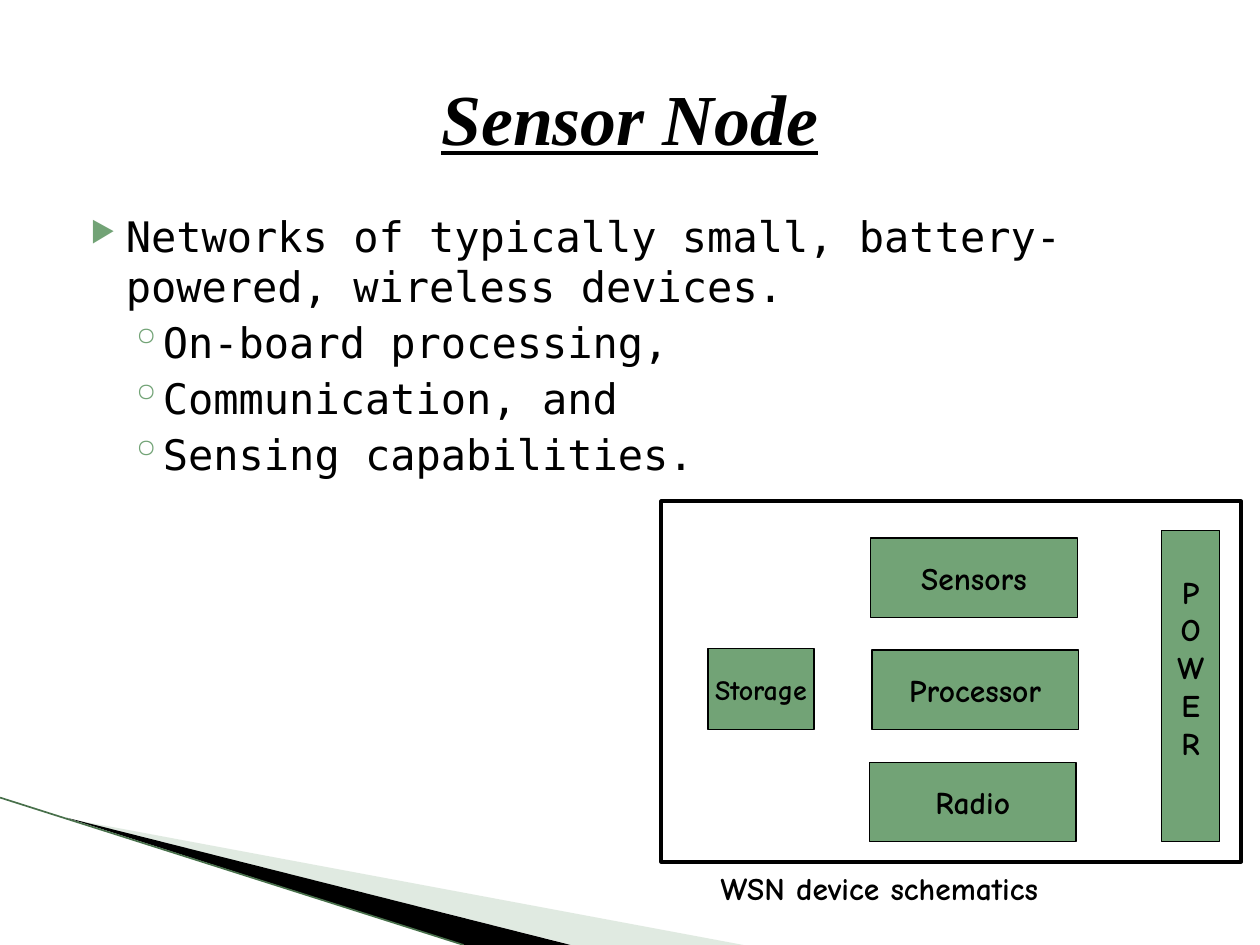
from lxml import etree
from pptx import Presentation
from pptx.dml.color import RGBColor
from pptx.enum import shapes, text
from pptx.oxml import ns
from pptx.util import Inches, Pt

BLACK = RGBColor(0x00, 0x00, 0x00)
GREEN = RGBColor(0x72, 0xA3, 0x76)
DARK_GREEN = RGBColor(0x48, 0x70, 0x4B)
PALE_GREEN = RGBColor(0xB3, 0xCB, 0xB5)

TITLE_FONT = "Times New Roman"
BODY_FONT = "DejaVu Sans Mono"
LABEL_FONT = "Comic Neue"

BULLETS = [
    (0, "Networks of typically small, battery-powered, wireless devices."),
    (1, "On-board processing,"),
    (1, "Communication, and"),
    (1, "Sensing capabilities."),
]
# Per level: left margin, hanging indent, space before, character, size in %
BULLET_STYLES = [
    (0.4, 0.28, 4, "▶", 68),
    (0.68, 0.25, 3.2, "◦", 100),
]
# Label, left, top, width, height, font size
BLOCKS = [
    ("Sensors", 6.91, 4.27, 1.64, 0.63, 18),
    ("Processor", 6.92, 5.16, 1.64, 0.63, 18),
    ("Radio", 6.9, 6.05, 1.64, 0.63, 18),
    ("Storage", 5.62, 5.15, 0.84, 0.64, 16),
    ("\n".join("POWER"), 9.22, 4.21, 0.46, 2.47, 18),
]


def add_xml(parent, tag, **attributes):
    return etree.SubElement(parent, ns.qn(tag), attributes)


def style_text(text_frame, font_name, size, alignment=None, bold=False):
    for paragraph in text_frame.paragraphs:
        paragraph.alignment = alignment
        for run in paragraph.runs:
            run.font.name = font_name
            run.font.size = Pt(size)
            run.font.bold = bold
            run.font.color.rgb = BLACK


def add_textbox(slide, left, top, width, height, wrap=True):
    box = slide.shapes.add_textbox(
        Inches(left), Inches(top), Inches(width), Inches(height))
    box.text_frame.word_wrap = wrap
    return box.text_frame


def add_wedge(slide, points, color, opacity=None):
    start, *others = [(Inches(x), Inches(y)) for x, y in points]
    builder = slide.shapes.build_freeform(*start)
    builder.add_line_segments(others, close=True)
    wedge = builder.convert_to_shape()
    wedge.shadow.inherit = False
    wedge.line.fill.background()
    wedge.fill.solid()
    wedge.fill.fore_color.rgb = color
    if opacity is not None:
        color_node = wedge.fill._xPr.find(".//" + ns.qn("a:srgbClr"))
        add_xml(color_node, "a:alpha", val=str(opacity * 1000))


def add_edge_line(slide, start, end):
    line = slide.shapes.add_connector(
        shapes.MSO_CONNECTOR.STRAIGHT, *map(Inches, start + end))
    line.line.color.rgb = DARK_GREEN
    line.line.width = Pt(0.95)
    add_xml(line._element.spPr, "a:effectLst")


def add_title(slide, title):
    text_frame = add_textbox(slide, 0.5, 0.3, 9, 1.25)
    text_frame.vertical_anchor = text.MSO_ANCHOR.MIDDLE
    text_frame.text = title
    style_text(text_frame, TITLE_FONT, 41, text.PP_ALIGN.CENTER, bold=True)
    font = text_frame.paragraphs[0].runs[0].font
    font.italic = True
    font.underline = True


def add_bullets(slide):
    text_frame = add_textbox(slide, 0.5, 1.62, 9, 4.95)
    text_frame.text = "\n".join(line for _, line in BULLETS)
    style_text(text_frame, BODY_FONT, 24)
    for paragraph, (level, _) in zip(text_frame.paragraphs, BULLETS):
        margin, hanging, space, character, percent = BULLET_STYLES[level]
        paragraph.level = level
        paragraph.space_before = Pt(space)
        properties = paragraph._p.get_or_add_pPr()
        properties.set("marL", str(Inches(margin)))
        properties.set("indent", str(-Inches(hanging)))
        bullet_color = add_xml(properties, "a:buClr")
        add_xml(bullet_color, "a:srgbClr", val=str(GREEN))
        add_xml(properties, "a:buSzPct", val=str(percent * 1000))
        add_xml(properties, "a:buChar", char=character)


def add_rectangle(slide, left, top, width, height, line_width):
    shape = slide.shapes.add_shape(
        shapes.MSO_SHAPE.RECTANGLE,
        Inches(left), Inches(top), Inches(width), Inches(height))
    shape.shadow.inherit = False
    shape.fill.background()
    shape.line.color.rgb = BLACK
    shape.line.width = Pt(line_width)
    return shape


def add_block(slide, label, left, top, width, height, size):
    block = add_rectangle(slide, left, top, width, height, 0.75)
    block.fill.solid()
    block.fill.fore_color.rgb = GREEN
    text_frame = block.text_frame
    text_frame.word_wrap = False
    text_frame.vertical_anchor = text.MSO_ANCHOR.MIDDLE
    text_frame.text = label
    style_text(text_frame, LABEL_FONT, size, text.PP_ALIGN.CENTER, bold=True)
    if "\n" in label:
        # Vertical lettering sits a little above the middle
        text_frame.margin_bottom = Inches(0.35)


def main():
    presentation = Presentation()
    presentation.slide_width = Inches(10)
    presentation.slide_height = Inches(7.5)
    slide = presentation.slides.add_slide(presentation.slide_layouts[6])

    # Corner decoration
    add_wedge(slide, [(0.55, 6.5), (5.9, 7.5), (4.54, 7.5)], PALE_GREEN, 40)
    add_wedge(slide, [(0.53, 6.49), (4.53, 7.5), (3.68, 7.5)], BLACK)
    add_edge_line(slide, (0, 6.33), (3.68, 7.5))

    # Title and body
    add_title(slide, "Sensor Node")
    add_bullets(slide)

    # Device schematic with its frame and caption
    for block in BLOCKS:
        add_block(slide, *block)
    add_rectangle(slide, 5.25, 3.98, 4.6, 2.86, 2.25)
    caption = add_textbox(slide, 5.62, 6.85, 3.11, 0.4, wrap=False)
    caption.text = "WSN device schematics"
    style_text(caption, LABEL_FONT, 18, bold=True)

    presentation.save("out.pptx")


if __name__ == "__main__":
    main()
